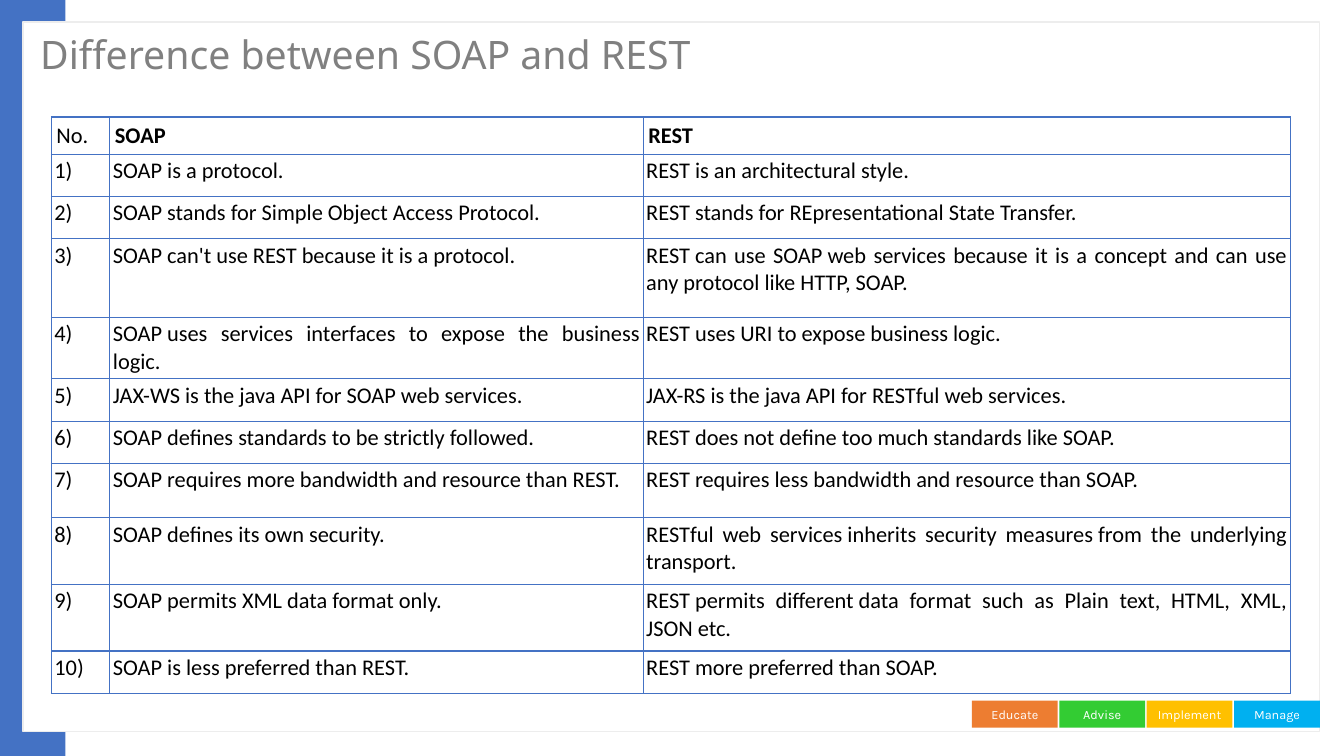
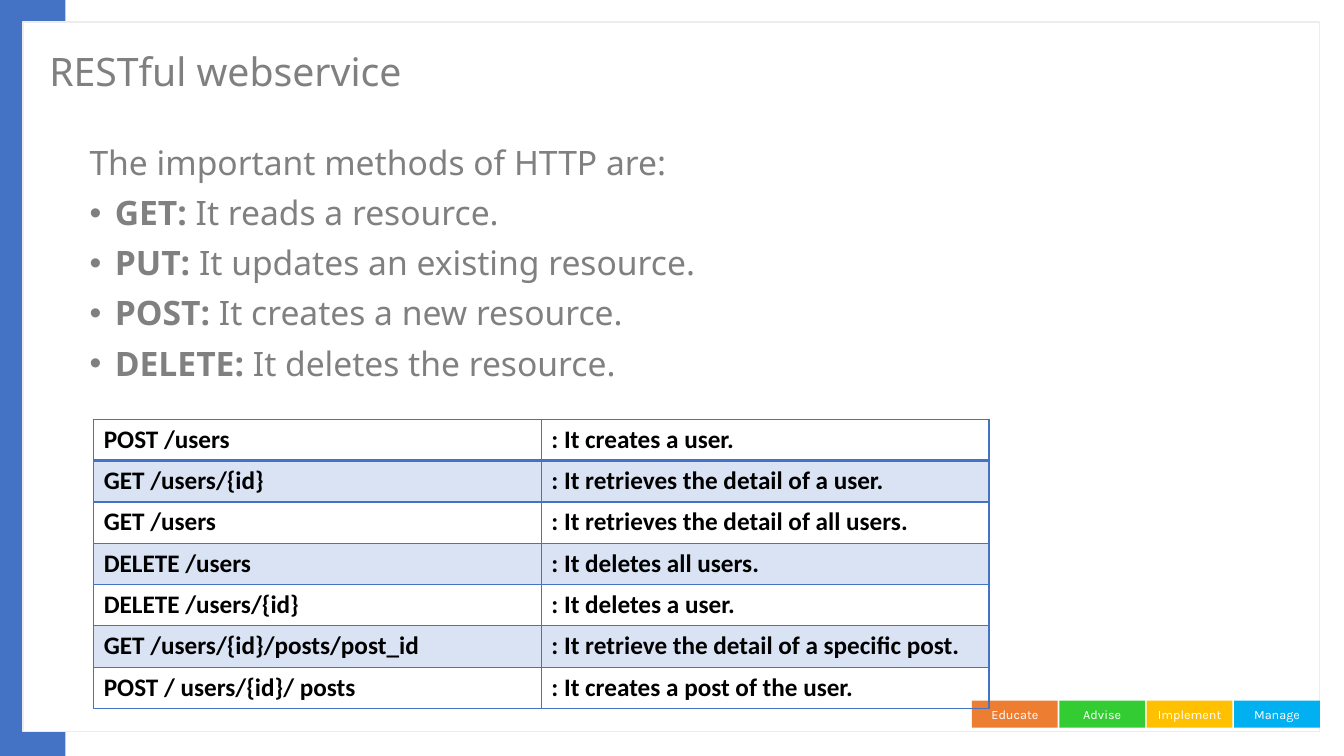
from lxml import etree
from pptx import Presentation
from pptx.dml.color import RGBColor
from pptx.enum.shapes import MSO_SHAPE
from pptx.enum.text import MSO_ANCHOR, PP_ALIGN
from pptx.oxml.ns import qn
from pptx.util import Inches, Pt

# Shared look
BLUE, WHITE, GRAY, BLACK = "4472C4", "FFFFFF", "808080", "000000"
FRAME_LINE, BAND = "EDEDED", "DAE3F3"
HEADING_FONT, TABLE_FONT, TAG_FONT = "Noto Sans", "Calibri", "Karla"
TAGS = [("Educate", "ED7D31"), ("Advise", "33CC33"),
        ("Implement", "FFC000"), ("Manage", "00B0F0")]
TAG_LEFT, TAG_STEP = 9.64, 2.6 / 3

# In all wording below, "~" stands for a no-break space
COMPARISON = [
    ("No.", "SOAP", "REST"),
    ("1)", "SOAP is a~protocol.", "REST is an~architectural style."),
    ("2)", "SOAP stands for~Simple Object Access Protocol.",
     "REST stands for~REpresentational State Transfer."),
    ("3)", "SOAP~can't use REST~because it is a protocol.",
     "REST~can use SOAP~web services because it is a concept and can use "
     "any protocol like HTTP, SOAP."),
    ("4)", "SOAP~uses services interfaces to expose the business logic.",
     "REST~uses URI to expose business logic."),
    ("5)", "JAX-WS~is the java API for SOAP web services.",
     "JAX-RS~is the java API for RESTful web services."),
    ("6)", "SOAP~defines standards~to be strictly followed.",
     "REST does not define too much standards like SOAP."),
    ("7)", "SOAP~requires more bandwidth~and resource than REST.",
     "REST~requires less bandwidth~and resource than SOAP."),
    ("8)", "SOAP~defines its own security.",
     "RESTful web services~inherits security measures~from the underlying transport."),
    ("9)", "SOAP~permits XML~data format only.",
     "REST~permits different~data format such as Plain text, HTML, XML, JSON etc."),
    ("10)", "SOAP is~less preferred~than REST.",
     "REST~more preferred~than SOAP."),
]
COMPARISON_HEIGHTS = [0.37, 0.42, 0.42, 0.78, 0.61, 0.42, 0.42, 0.54, 0.66, 0.66, 0.42]

METHODS = [("GET:", "~It reads a resource."),
           ("PUT:", "~It updates an existing resource."),
           ("POST:", "~It creates a new resource."),
           ("DELETE:", "~It deletes the resource.")]

ENDPOINTS = [
    ("POST /users", ":~It creates a user."),
    ("GET /users/{id}", ":~It retrieves the detail of a user."),
    ("GET /users", ":~It retrieves the detail of all users."),
    ("DELETE /users", ":~It deletes all users."),
    ("DELETE /users/{id}", ":~It deletes a user."),
    ("GET /users/{id}/posts/post_id", ":~It retrieve the detail of a specific post."),
    ("POST / users/{id}/ posts", ":~It creates a post of the user."),
]


def rgb(value):
    return RGBColor.from_string(value)


def add_run(paragraph, text, font, size, color, bold=False):
    run = paragraph.add_run()
    run.text = text.replace("~", "\u00a0")
    run.font.name, run.font.size, run.font.bold = font, Pt(size), bold
    run.font.color.rgb = rgb(color)


def add_rect(slide, left, top, width, height, fill, line=None):
    rect = slide.shapes.add_shape(MSO_SHAPE.RECTANGLE, Inches(left), Inches(top),
                                  Inches(width), Inches(height))
    rect.shadow.inherit = False
    rect.fill.solid()
    rect.fill.fore_color.rgb = rgb(fill)
    if line:
        rect.line.color.rgb = rgb(line)
        rect.line.width = Pt(1)
    else:
        rect.line.fill.background()
    return rect


def add_text_frame(slide, left, top, width, height):
    box = slide.shapes.add_textbox(Inches(left), Inches(top), Inches(width), Inches(height))
    box.text_frame.word_wrap = True
    return box.text_frame


def add_framed_slide(prs, title, left, top):
    """Slide with side band, framed page, footer tags and title."""
    slide = prs.slides.add_slide(prs.slide_layouts[6])
    add_rect(slide, 0, 0, 0.65, 7.5, BLUE)
    add_rect(slide, 0.23, 0.22, 12.86, 7.04, WHITE, FRAME_LINE)
    for i, (label, color) in enumerate(TAGS):
        tag = add_rect(slide, TAG_LEFT + i * TAG_STEP, 6.95, 0.85, 0.27, color)
        frame = tag.text_frame
        frame.margin_left = frame.margin_right = 0
        frame.margin_top = frame.margin_bottom = 0
        frame.vertical_anchor = MSO_ANCHOR.MIDDLE
        frame.paragraphs[0].alignment = PP_ALIGN.CENTER
        add_run(frame.paragraphs[0], label, TAG_FONT, 9, WHITE)
    frame = add_text_frame(slide, left, top, 10.32, 0.87)
    frame.vertical_anchor = MSO_ANCHOR.MIDDLE
    frame.paragraphs[0].line_spacing = 0.9
    add_run(frame.paragraphs[0], title, HEADING_FONT, 28, GRAY)
    return slide


def add_bullet(paragraph):
    props = paragraph._p.get_or_add_pPr()
    props.set("marL", str(Inches(0.25)))
    props.set("indent", str(-Inches(0.25)))
    etree.SubElement(props, qn("a:buFont")).set("typeface", "Arial")
    etree.SubElement(props, qn("a:buChar")).set("char", "\u2022")


def set_borders(cell, top=1, bottom=1):
    """Blue cell borders; call before the fill, which follows them in the XML."""
    props = cell._tc.get_or_add_tcPr()
    for side, width in (("L", 1), ("R", 1), ("T", top), ("B", bottom)):
        line = etree.SubElement(props, qn(f"a:ln{side}"), w=str(Pt(width)))
        fill = etree.SubElement(line, qn("a:solidFill"))
        etree.SubElement(fill, qn("a:srgbClr"), val=BLUE)


def add_plain_table(slide, left, top, widths, heights):
    table = slide.shapes.add_table(len(heights), len(widths), Inches(left), Inches(top),
                                   Inches(sum(widths)), Inches(sum(heights))).table
    table.first_row = table.horz_banding = False
    for column, width in zip(table.columns, widths):
        column.width = Inches(width)
    for row, height in zip(table.rows, heights):
        row.height = Inches(height)
    return table


def fill_cell(cell, text, size, bold=False, band=None, top=1, bottom=1):
    set_borders(cell, top, bottom)
    if band:
        cell.fill.solid()
        cell.fill.fore_color.rgb = rgb(band)
    else:
        cell.fill.background()
    add_run(cell.text_frame.paragraphs[0], text, TABLE_FONT, size, BLACK, bold)


def build_comparison(prs):
    slide = add_framed_slide(prs, "Difference between SOAP and REST", 0.3, 0.13)
    table = add_plain_table(slide, 0.51, 1.16, [0.58, 5.29, 6.42], COMPARISON_HEIGHTS)
    for r, row in enumerate(COMPARISON):
        for c, text in enumerate(row):
            cell = table.cell(r, c)
            inset = Inches(0.03 if r else 0.05)
            cell.margin_left = cell.margin_right = inset
            cell.margin_top = cell.margin_bottom = inset
            fill_cell(cell, text, 16, bold=r == 0 and c > 0)
            if r:
                cell.text_frame.paragraphs[0].alignment = PP_ALIGN.JUSTIFY


def build_methods(prs):
    slide = add_framed_slide(prs, "RESTful webservice", 0.39, 0.3)

    # HTTP methods
    frame = add_text_frame(slide, 0.79, 1.4, 12.07, 2.6)
    intro = frame.paragraphs[0]
    intro.alignment = PP_ALIGN.JUSTIFY
    add_run(intro, "The important methods of HTTP are:", HEADING_FONT, 24, GRAY)
    for name, meaning in METHODS:
        paragraph = frame.add_paragraph()
        add_run(paragraph, name, HEADING_FONT, 24, GRAY, True)
        add_run(paragraph, meaning, HEADING_FONT, 24, GRAY)
    for paragraph in frame.paragraphs:
        paragraph.line_spacing = 0.9
        paragraph.space_before = Pt(10)
    for paragraph in frame.paragraphs[1:]:
        add_bullet(paragraph)

    # Endpoints, every second row tinted
    table = add_plain_table(slide, 0.93, 4.16, [4.44] * 2, [0.41] * len(ENDPOINTS))
    for r, row in enumerate(ENDPOINTS):
        for c, text in enumerate(row):
            fill_cell(table.cell(r, c), text, 18, True, BAND if r % 2 else None,
                      top=2 if r == 1 else 1, bottom=2 if r == 0 else 1)


def main():
    prs = Presentation()
    prs.slide_width, prs.slide_height = Inches(13.33), Inches(7.5)
    build_comparison(prs)
    build_methods(prs)
    prs.save("out.pptx")


main()
